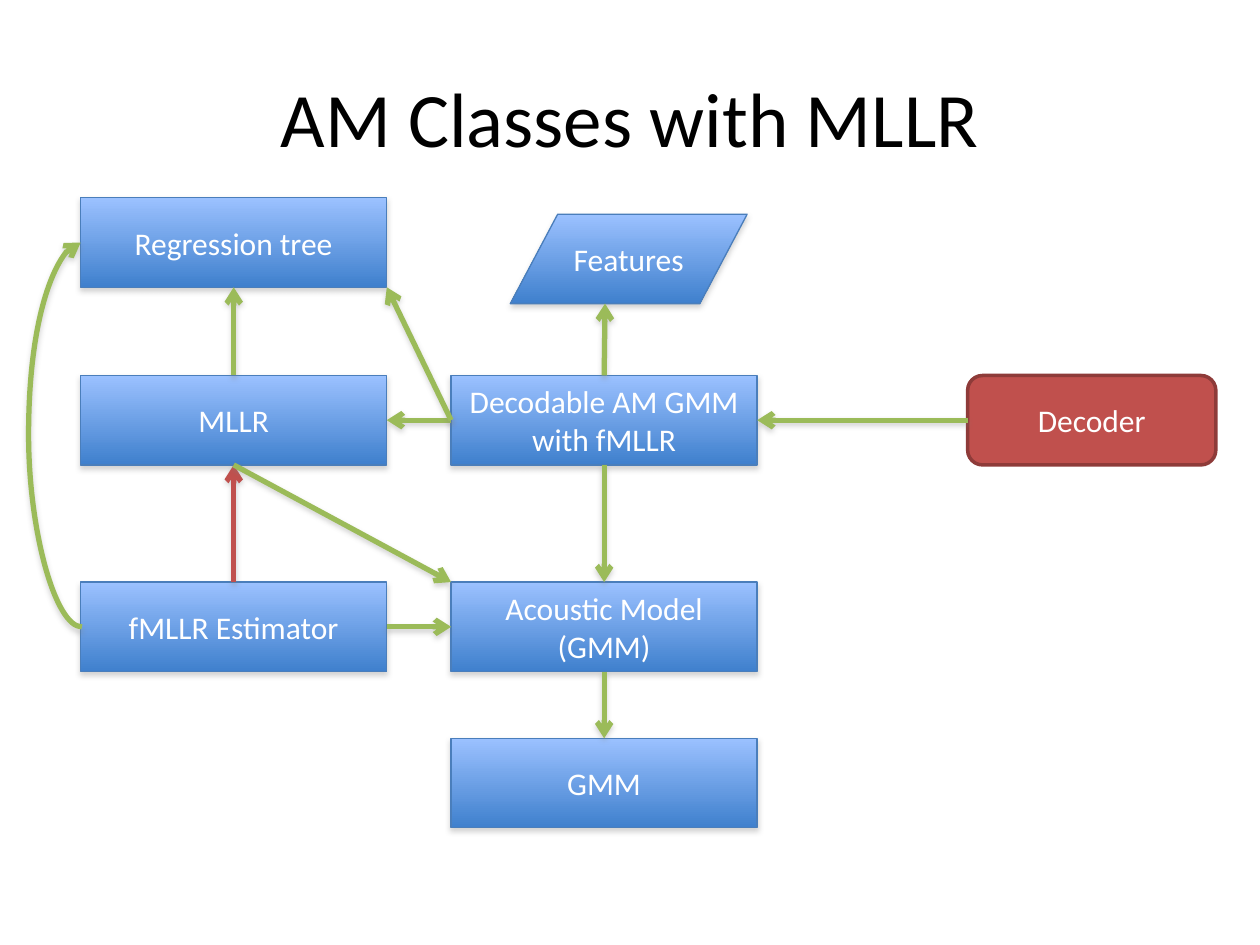
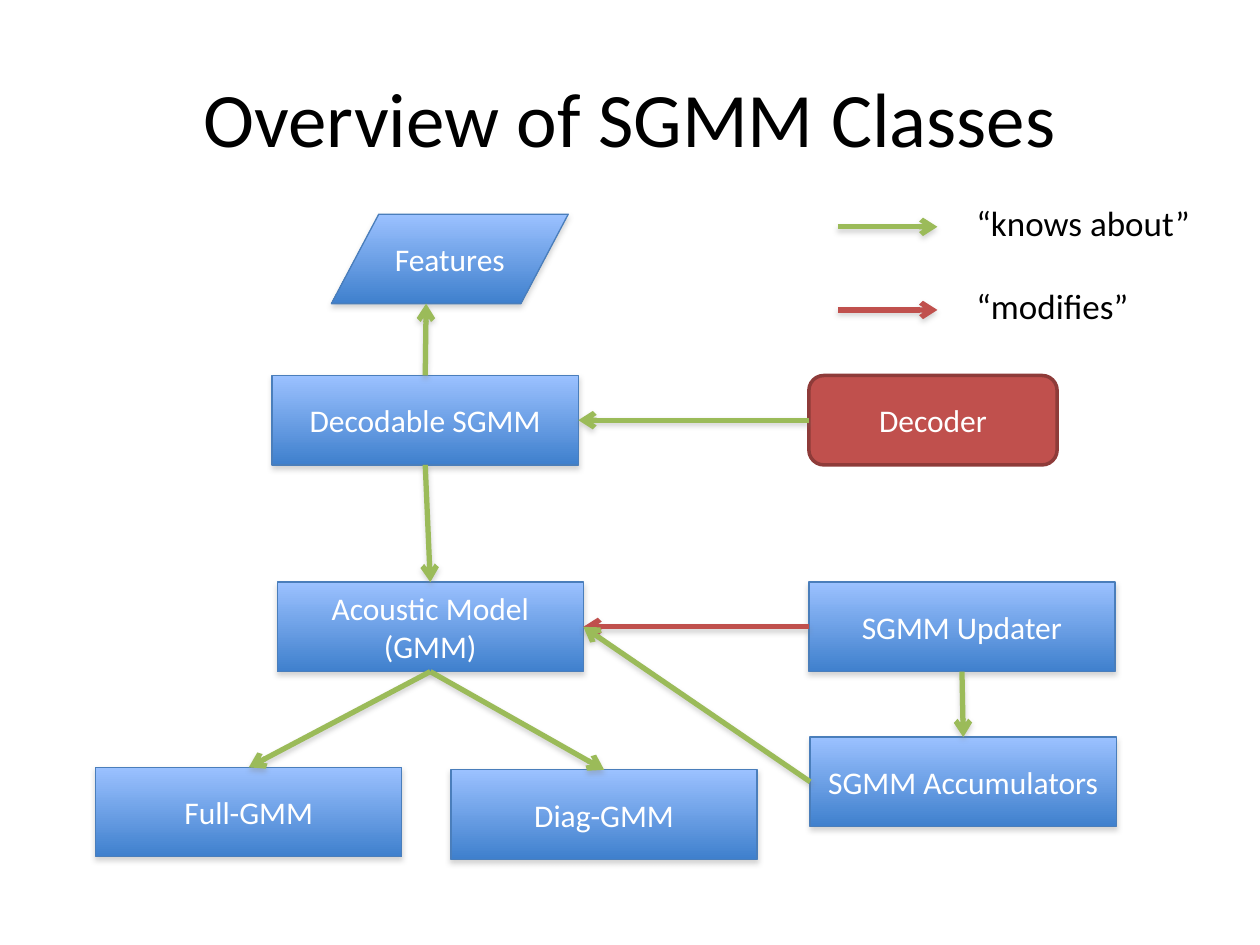
from dataclasses import dataclass

from lxml.etree import SubElement
from pptx import Presentation
from pptx.dml.color import RGBColor
from pptx.enum.shapes import MSO_CONNECTOR, MSO_SHAPE
from pptx.enum.text import MSO_ANCHOR, PP_ALIGN
from pptx.oxml.ns import qn
from pptx.util import Inches, Pt


@dataclass(frozen=True)
class Theme:
    """Colours, type sizes and box sizes shared by the slides."""

    font: str = "Calibri"
    title_size: int = 44
    legend_size: int = 20
    box_size: int = 18
    text: str = "000000"
    box_text: str = "FFFFFF"
    gradient: tuple = ("9BC1FF", "3F80CD")
    box_line: str = "4A7EBB"
    decoder_fill: str = "C0504D"
    decoder_line: str = "8E3B39"
    knows: str = "9BBB59"
    modifies: str = "C0504D"
    shadow: str = "808080"
    class_width: float = 2.43
    features_width: float = 1.88
    decoder_width: float = 1.97
    box_height: float = 0.71


THEME = Theme()
ROWS = {"tree": 1.57, "features": 1.7, "decodable": 2.98, "model": 4.62, "gmm": 5.86}
TOP, LEFT, BOTTOM, RIGHT = (0.5, 0), (0, 0.5), (0.5, 1), (1, 0.5)
TOP_LEFT, BOTTOM_RIGHT = (0, 0), (1, 1)
FEATURES_BOTTOM = (0.4, 1)
SITES = {TOP: 0, LEFT: 1, BOTTOM: 2, RIGHT: 3}


def write(shape, text, size, colour, align):
    """Put one formatted paragraph in a shape."""
    frame = shape.text_frame
    frame.word_wrap = True
    frame.text = text
    para = frame.paragraphs[0]
    para.alignment = align
    font = para.runs[0].font
    font.name, font.size = THEME.font, Pt(size)
    font.color.rgb = RGBColor.from_string(colour)


def add_text(page, text, place, size, align=PP_ALIGN.LEFT):
    """Add a text box in the main text colour."""
    box = page.shapes.add_textbox(*map(Inches, place))
    write(box, text, size, THEME.text, align)
    return box


def add_page(deck, title):
    """Add a blank page with a centred title."""
    page = deck.slides.add_slide(deck.slide_layouts[6])
    box = add_text(page, title, (0.5, 0.3, 9, 1.25), THEME.title_size, PP_ALIGN.CENTER)
    box.text_frame.vertical_anchor = MSO_ANCHOR.MIDDLE
    return page


def add_shadow(effects):
    """Add the soft downward shadow to an effect list."""
    shadow = SubElement(effects, qn("a:outerShdw"), blurRad=str(Pt(3.1)),
                        dist=str(Pt(1.8)), dir="5400000", rotWithShape="0")
    colour = SubElement(shadow, qn("a:srgbClr"), val=THEME.shadow)
    SubElement(colour, qn("a:alpha"), val="35000")


def add_box(page, text, left, top, width, kind, line, line_width):
    """Add a labelled shape with an outline and no shadow."""
    box = page.shapes.add_shape(kind, *map(Inches, (left, top, width, THEME.box_height)))
    box.line.color.rgb = RGBColor.from_string(line)
    box.line.width = Pt(line_width)
    box.shadow.inherit = False
    write(box, text, THEME.box_size, THEME.box_text, PP_ALIGN.CENTER)
    box.text_frame.vertical_anchor = MSO_ANCHOR.MIDDLE
    return box


def add_class(page, text, left, top, width=THEME.class_width, kind=MSO_SHAPE.RECTANGLE):
    """Add a blue gradient box with a shadow."""
    box = add_box(page, text, left, top, width, kind, THEME.box_line, 0.75)
    box.fill.gradient()
    box.fill.gradient_angle = 270
    for stop, position, colour in zip(box.fill.gradient_stops, (0, 1), THEME.gradient):
        stop.position = position
        stop.color.rgb = RGBColor.from_string(colour)
    add_shadow(box._element.spPr.find(qn("a:effectLst")))
    return box


def add_features(page, left):
    """Add the parallelogram for the features."""
    return add_class(page, "Features", left, ROWS["features"], THEME.features_width,
                     MSO_SHAPE.FLOWCHART_DATA)


def add_decoder(page, left):
    """Add the red rounded box for the decoder."""
    box = add_box(page, "Decoder", left, ROWS["decodable"], THEME.decoder_width,
                  MSO_SHAPE.FLOWCHART_ALTERNATE_PROCESS, THEME.decoder_line, 2)
    box.fill.solid()
    box.fill.fore_color.rgb = RGBColor.from_string(THEME.decoder_fill)
    return box


def add_arrow(page, begin, end, colour=THEME.knows, kind=MSO_CONNECTOR.STRAIGHT):
    """Add a shadowed arrow between two points."""
    arrow = page.shapes.add_connector(kind, *begin, *end)
    arrow.line.color.rgb = RGBColor.from_string(colour)
    arrow.line.width = Pt(3)
    properties = arrow._element.spPr
    SubElement(properties.find(qn("a:ln")), qn("a:tailEnd"), type="arrow")
    add_shadow(SubElement(properties, qn("a:effectLst")))
    return arrow


def point_on(box, share):
    """Return the point at a share of a box's width and height."""
    return (round(box.left + share[0] * box.width), round(box.top + share[1] * box.height))


def connect(page, source, source_share, target, target_share, colour=THEME.knows):
    """Draw an arrow between two boxes, joined where it meets the middle of a side."""
    arrow = add_arrow(page, point_on(source, source_share), point_on(target, target_share), colour)
    if source_share in SITES:
        arrow.begin_connect(source, SITES[source_share])
    if target_share in SITES:
        arrow.end_connect(target, SITES[target_share])


def connect_around(page, source, target, reach):
    """Draw a curved arrow bulging left from one box up to another."""
    step = Inches(0.01)
    left, top = point_on(target, LEFT)
    bottom = point_on(source, LEFT)[1]
    arrow = add_arrow(page, (left, top), (left + step, bottom), kind=MSO_CONNECTOR.CURVE)
    properties = arrow._element.spPr
    properties.find(qn("a:xfrm")).set("rot", "10800000")
    geometry = properties.find(qn("a:prstGeom"))
    guides = geometry.find(qn("a:avLst"))
    bulge = round(100000 * (Inches(reach) + step) / step)
    SubElement(guides, qn("a:gd"), name="adj1", fmla=f"val {bulge}")


def add_legend(page, entries):
    """Explain the arrow colours, one row per entry."""
    for row, (text, colour) in enumerate(entries):
        top = 1.55 + 0.66 * row
        add_text(page, text, (7.65, top, 1.99, 0.44), THEME.legend_size)
        middle = Inches(top + 0.25)
        add_arrow(page, (Inches(6.65), middle), (Inches(7.44), middle), colour)


def build_mllr(deck):
    """Build the page on acoustic model classes with MLLR."""
    page = add_page(deck, "AM Classes with MLLR")
    left, centre = 0.64, 3.58
    gmm = add_class(page, "GMM", centre, ROWS["gmm"])
    model = add_class(page, "Acoustic Model (GMM)", centre, ROWS["model"])
    decodable = add_class(page, "Decodable AM GMM with fMLLR", centre, ROWS["decodable"])
    features = add_features(page, 4.05)
    decoder = add_decoder(page, 7.68)
    estimator = add_class(page, "fMLLR Estimator", left, ROWS["model"])
    mllr = add_class(page, "MLLR", left, ROWS["decodable"])
    tree = add_class(page, "Regression tree", left, ROWS["tree"])
    connect(page, model, BOTTOM, gmm, TOP)
    connect(page, decodable, BOTTOM, model, TOP)
    connect(page, decoder, LEFT, decodable, RIGHT)
    connect(page, decodable, TOP, features, FEATURES_BOTTOM)
    connect(page, estimator, RIGHT, model, LEFT)
    connect(page, estimator, TOP, mllr, BOTTOM, THEME.modifies)
    connect(page, decodable, LEFT, mllr, RIGHT)
    connect_around(page, estimator, tree, 0.42)
    connect(page, decodable, LEFT, tree, BOTTOM_RIGHT)
    connect(page, mllr, TOP, tree, BOTTOM)
    connect(page, mllr, BOTTOM, model, TOP_LEFT)


def build_sgmm(deck):
    """Build the overview page of SGMM classes."""
    page = add_page(deck, "Overview of SGMM Classes")
    right = 6.42
    model = add_class(page, "Acoustic Model (GMM)", 2.2, ROWS["model"])
    accumulators = add_class(page, "SGMM Accumulators", 6.43, 5.85)
    updater = add_class(page, "SGMM Updater", right, ROWS["model"])
    decodable = add_class(page, "Decodable SGMM", 2.16, ROWS["decodable"])
    features = add_features(page, 2.63)
    decoder = add_decoder(page, right)
    diagonal = add_class(page, "Diag-GMM", 3.58, 6.11)
    full = add_class(page, "Full-GMM", 0.76, 6.09)
    connect(page, decodable, BOTTOM, model, TOP)
    connect(page, decoder, LEFT, decodable, RIGHT)
    connect(page, decodable, TOP, features, FEATURES_BOTTOM)
    connect(page, updater, LEFT, model, RIGHT, THEME.modifies)
    connect(page, accumulators, LEFT, model, RIGHT)
    connect(page, updater, BOTTOM, accumulators, TOP)
    connect(page, model, BOTTOM, diagonal, TOP)
    connect(page, model, BOTTOM, full, TOP)
    add_legend(page, (("“knows about”", THEME.knows), ("“modifies”", THEME.modifies)))


def main():
    """Build and save the deck."""
    deck = Presentation()
    deck.slide_width, deck.slide_height = Inches(10), Inches(7.5)
    build_mllr(deck)
    build_sgmm(deck)
    deck.save("out.pptx")


if __name__ == "__main__":
    main()
